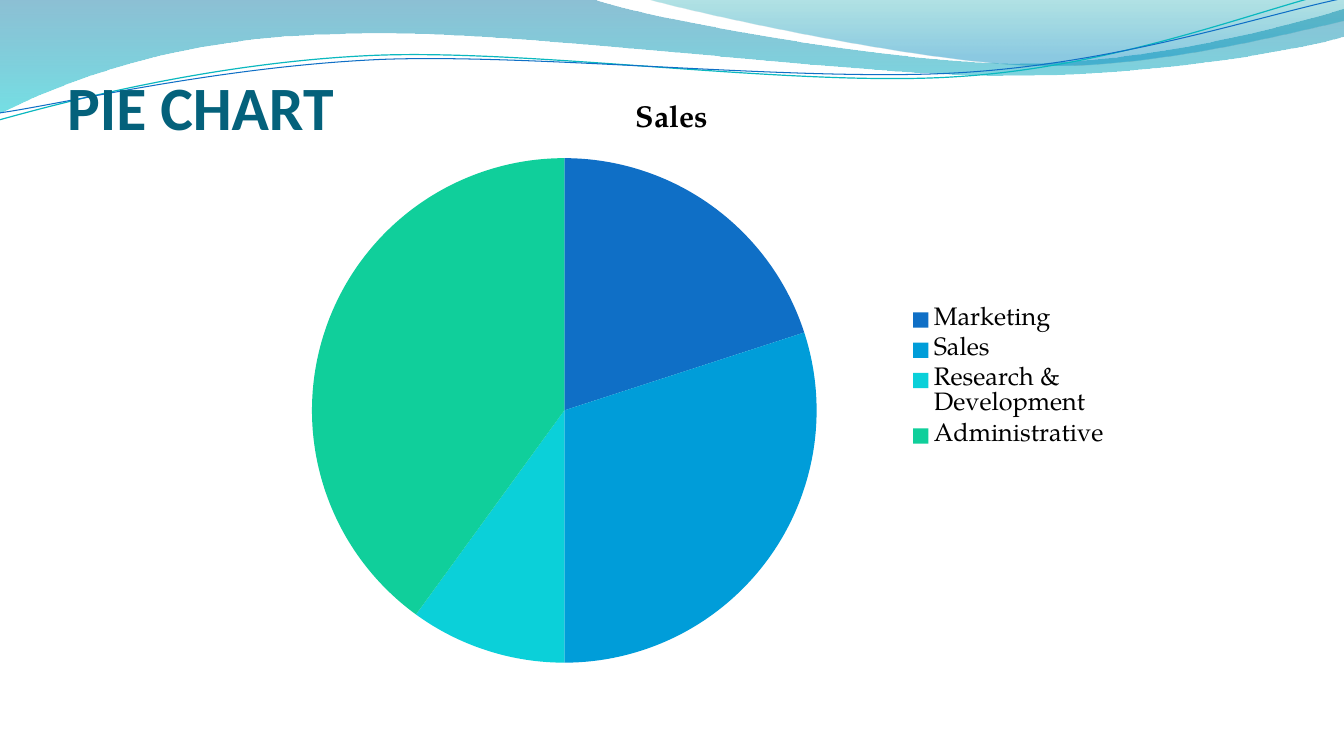
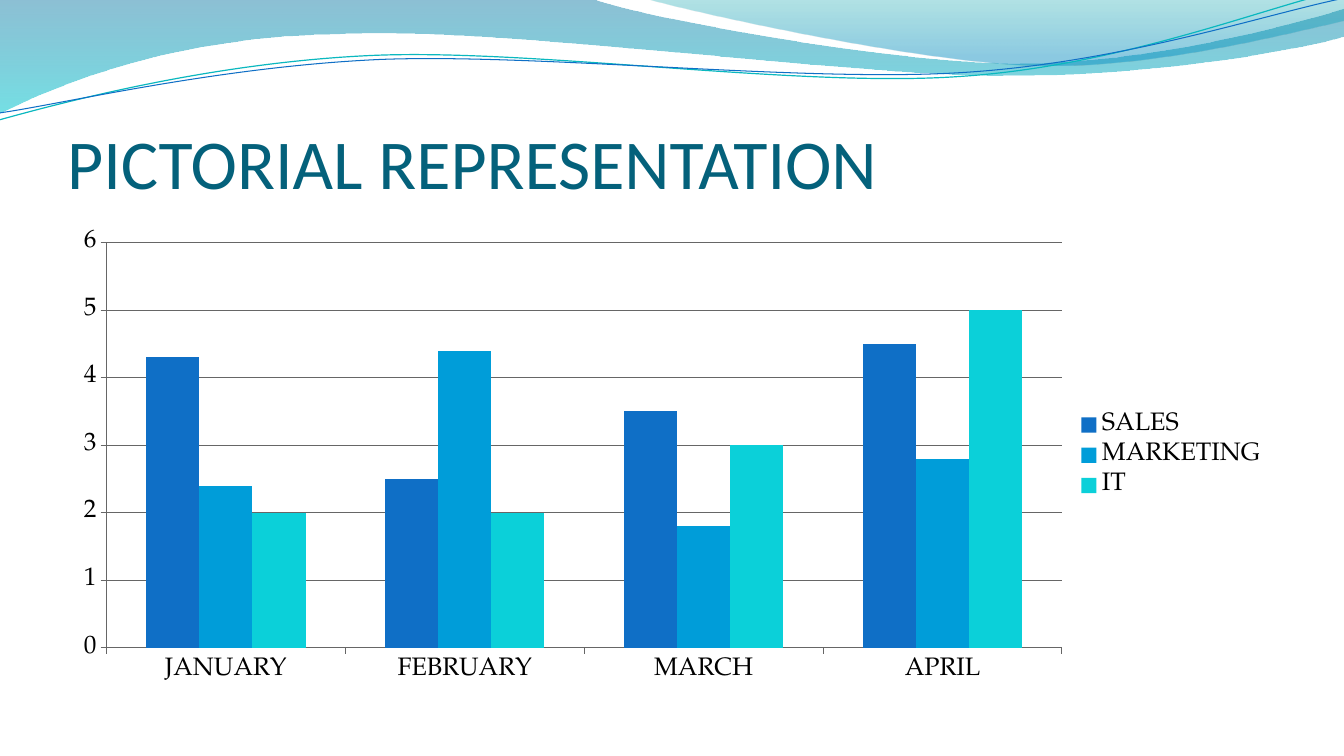
from dataclasses import dataclass
from itertools import chain

from lxml.etree import SubElement
from pptx import Presentation
from pptx.chart.chart import Chart
from pptx.chart.data import CategoryChartData
from pptx.dml.color import RGBColor
from pptx.enum.chart import XL_CHART_TYPE as ChartType
from pptx.enum.chart import XL_LEGEND_POSITION as LegendPosition
from pptx.enum.chart import XL_TICK_MARK as TickMark
from pptx.enum.text import MSO_ANCHOR as Anchor
from pptx.oxml.ns import qn
from pptx.shapes.autoshape import Shape
from pptx.slide import Slide, SlideLayout
from pptx.text.text import TextFrame
from pptx.util import Inches, Pt

WIDTH, HEIGHT = Inches(13.33), Inches(7.5)
COLUMNS, ROWS = 20, 90
TITLE_FONT, CHART_FONT = "Calibri", "TeX Gyre Pagella"
COLORS = {
    "title": "04617B",
    "text": "000000",
    "axis": "666666",
    "blue": "0F6FC6",
    "sky": "009DD9",
    "cyan": "0BD0D9",
    "green": "10CF9B",
    "teal line": "0AB8BF",
    "band top": "0074A1",
    "band bottom": "00C6CF",
    "crest top": "00A1A9",
    "crest bottom": "008BBF",
}
SERIES_COLORS = ("blue", "sky", "cyan", "green")

Point = tuple[float, float]


@dataclass(frozen=True)
class Box:
    """A place on the grid, in columns and rows."""
    column: float
    row: float
    columns: float
    rows: float

    def emu(self) -> tuple[int, int, int, int]:
        return (
            round(self.column * WIDTH / COLUMNS),
            round(self.row * HEIGHT / ROWS),
            round(self.columns * WIDTH / COLUMNS),
            round(self.rows * HEIGHT / ROWS),
        )


@dataclass(frozen=True)
class Stop:
    position: float
    color: str
    opacity: int


@dataclass(frozen=True)
class Wave:
    """Segments in inches: one point is a line, three points are a Bezier curve."""
    start: Point
    segments: tuple[tuple[Point, ...], ...]
    stops: tuple[Stop, ...] = ()
    line: str = ""
    weight: float = 0


WAVES = (
    Wave(
        (0, 0),
        (
            ((5.87, -0.01),),
            ((6.34, 0.17), (8.85, 0.63), (10.11, 0.63)),
            ((11.38, 0.63), (12.78, 0.26), (13.33, 0.09)),
            ((13.35, 0.36),),
            ((13.11, 0.44), (11.6, 0.76), (9.94, 0.75)),
            ((8.29, 0.75), (5.09, 0.28), (3.43, 0.34)),
            ((1.72, 0.36), (0.61, 0.83), (-0.01, 1.13)),
        ),
        stops=(Stop(0, "band top", 45), Stop(1, "band bottom", 55)),
    ),
    Wave(
        (6.39, -0.01),
        (
            ((6.79, 0.11), (9.09, 0.62), (10.25, 0.65)),
            ((11.41, 0.69), (12.82, 0.32), (13.33, 0.21)),
            ((13.33, 0),),
        ),
        stops=(Stop(0, "crest top", 30), Stop(0.8, "crest bottom", 45)),
    ),
    Wave(
        (-0.01, 1.19),
        (
            ((0.64, 1.01), (2.11, 0.62), (3.69, 0.55)),
            ((5.27, 0.48), (7.9, 0.87), (9.5, 0.76)),
            ((11.1, 0.66), (12.52, 0.08), (13.31, -0.1)),
        ),
        line="teal line", weight=0.85,
    ),
    Wave(
        (0, 1.12),
        (
            ((0.63, 1.03), (2.18, 0.66), (3.78, 0.59)),
            ((5.37, 0.53), (7.96, 0.82), (9.55, 0.72)),
            ((11.15, 0.62), (12.55, 0.14), (13.34, -0.02)),
        ),
        line="blue", weight=0.75,
    ),
)


def rgb(name: str) -> RGBColor:
    return RGBColor.from_string(COLORS[name])


def bend(shape: Shape, wave: Wave) -> None:
    """Turn each run of three straight steps that stands for a curve into one."""
    steps = iter(list(shape.element.iter(qn("a:lnTo"))))
    for segment in wave.segments:
        first, *others = [next(steps) for _ in segment]
        if others:
            first.addprevious(curve := first.makeelement(qn("a:cubicBezTo"), {}))
            for step in (first, *others):
                curve.append(step.find(qn("a:pt")))
                step.getparent().remove(step)


def draw_wave(page: Slide, wave: Wave) -> Shape:
    x, y = wave.start
    builder = page.shapes.build_freeform(Inches(x), Inches(y))
    corners = chain.from_iterable(wave.segments)
    builder.add_line_segments(
        [(Inches(x), Inches(y)) for x, y in corners], close=bool(wave.stops)
    )
    shape = builder.convert_to_shape()
    bend(shape, wave)
    shape.shadow.inherit = False
    if wave.stops:
        shape.line.fill.background()
        fill_gradient(shape, wave.stops)
    else:
        shape.fill.background()
        shape.line.color.rgb = rgb(wave.line)
        shape.line.width = Pt(wave.weight)
    return shape


def fill_gradient(shape: Shape, stops: tuple[Stop, ...]) -> None:
    shape.fill.gradient()
    shape.fill.gradient_angle = 270
    for target, stop in zip(shape.fill.gradient_stops, stops):
        target.position = stop.position
        target.color.rgb = rgb(stop.color)
    gradient = shape.element.spPr.find(qn("a:gradFill"))
    for color, stop in zip(gradient.iter(qn("a:srgbClr")), stops):
        SubElement(color, qn("a:alpha"), val=str(stop.opacity * 1000))


def decorate_layout(layout: SlideLayout, page: Slide) -> None:
    """Draw the waves by way of a page and hand them to its layout."""
    for placeholder in list(layout.placeholders):
        placeholder.element.getparent().remove(placeholder.element)
    tree = layout.element.find(f".//{qn('p:spTree')}")
    for shape in [draw_wave(page, wave) for wave in WAVES]:
        tree.append(shape.element)


def write_text(frame: TextFrame, text: str, *, size: float, font: str,
               color: str, bold: bool = False) -> None:
    para = frame.paragraphs[0]
    span = para.add_run()
    span.text = text
    span.font.size = Pt(size)
    span.font.name = font
    span.font.bold = bold
    span.font.color.rgb = rgb(color)


def add_title(page: Slide, text: str, *, row: float, size: float, bold: bool = False) -> None:
    frame = page.shapes.add_textbox(*Box(1, row, 18, 15).emu()).text_frame
    frame.word_wrap = True
    frame.vertical_anchor = Anchor.BOTTOM
    frame.margin_left = frame.margin_right = frame.margin_bottom = 0
    frame.margin_top = Inches(0.05)
    write_text(frame, text, size=size, font=TITLE_FONT, color="title", bold=bold)


def add_chart(page: Slide, kind: ChartType, box: Box, categories: tuple[str, ...],
              series: dict[str, tuple[float, ...]]) -> Chart:
    data = CategoryChartData()
    data.categories = categories
    for name, values in series.items():
        data.add_series(name, values)
    chart = page.shapes.add_chart(kind, *box.emu(), data).chart
    chart.font.size = Pt(18)
    chart.font.name = CHART_FONT
    chart.font.color.rgb = rgb("text")
    chart.has_title = False
    chart.has_legend = True
    chart.legend.position = LegendPosition.RIGHT
    chart.legend.include_in_layout = False
    return chart


def paint(parts) -> None:
    """Fill chart series or points with the series colours in turn."""
    for part, color in zip(parts, SERIES_COLORS):
        part.format.fill.solid()
        part.format.fill.fore_color.rgb = rgb(color)


def set_plot_area(chart: Chart, **shares: float) -> None:
    """Fix the inner plot area, given as shares of the chart's size."""
    area = chart.element.find(f".//{qn('c:plotArea')}")
    layout = area.find(qn("c:layout"))
    if layout is None:
        layout = area.makeelement(qn("c:layout"), {})
        area.insert(0, layout)
    manual = SubElement(layout, qn("c:manualLayout"))
    settings = {"layoutTarget": "inner", "xMode": "edge", "yMode": "edge", **shares}
    for name, value in settings.items():
        SubElement(manual, qn(f"c:{name}"), val=str(value))


def build_pie_page(page: Slide) -> None:
    chart = add_chart(
        page, ChartType.PIE, Box(3.33, 9.45, 13.34, 71.1),
        ("Marketing", "Sales", "Research & Development", "Administrative"),
        {"Sales": (20, 30, 10, 40)},
    )
    chart.has_title = True
    write_text(chart.chart_title.text_frame, "Sales", size=21.6,
               font=CHART_FONT, color="text", bold=True)
    plot = chart.plots[0]
    plot.vary_by_categories = True
    paint(plot.series[0].points[index] for index in range(len(SERIES_COLORS)))
    add_title(page, "PIE CHART", row=2, size=44, bold=True)


def build_column_page(page: Slide) -> None:
    add_title(page, "PICTORIAL REPRESENTATION", row=9.25, size=50)
    chart = add_chart(
        page, ChartType.COLUMN_CLUSTERED, Box(1, 25.4, 18, 57.6),
        ("JANUARY", "FEBRUARY", "MARCH", "APRIL"),
        {
            "SALES": (4.3, 2.5, 3.5, 4.5),
            "MARKETING": (2.4, 4.4, 1.8, 2.8),
            "IT": (2, 2, 3, 5),
        },
    )
    set_plot_area(chart, x=0.39 / 12, y=0.29 / 4.8, w=0.79, h=4.02 / 4.8)
    plot = chart.plots[0]
    plot.vary_by_categories = False
    plot.gap_width = 150
    plot.overlap = 0
    paint(plot.series)
    scale = chart.value_axis
    scale.has_major_gridlines = True
    for axis in (chart.category_axis, scale):
        axis.major_tick_mark = TickMark.OUTSIDE
    for lines in (chart.category_axis, scale, scale.major_gridlines):
        lines.format.line.color.rgb = rgb("axis")
        lines.format.line.width = Pt(0.75)


def main() -> None:
    deck = Presentation()
    deck.slide_width, deck.slide_height = WIDTH, HEIGHT
    layout = deck.slide_layouts[6]
    pie_page, column_page = (deck.slides.add_slide(layout) for _ in range(2))
    decorate_layout(layout, pie_page)
    build_pie_page(pie_page)
    build_column_page(column_page)
    deck.save("out.pptx")


if __name__ == "__main__":
    main()
